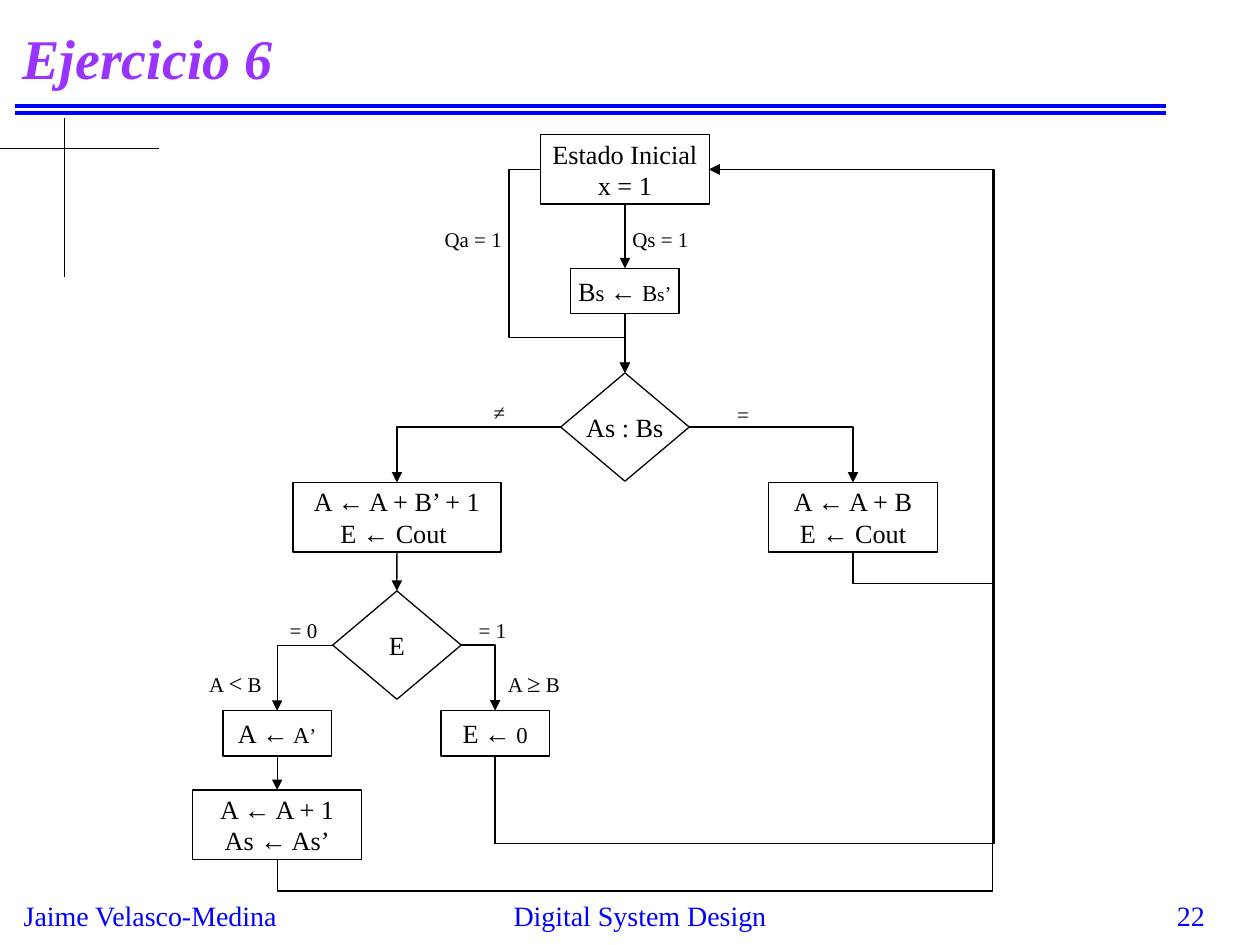
from dataclasses import dataclass

from pptx import Presentation
from pptx.dml.color import RGBColor
from pptx.enum.shapes import MSO_CONNECTOR as Connector, MSO_SHAPE as Shape
from pptx.enum.text import MSO_ANCHOR as Anchor, MSO_AUTO_SIZE as AutoSize, PP_ALIGN as Align
from pptx.oxml.ns import qn
from pptx.oxml.xmlchemy import OxmlElement
from pptx.util import Inches, Pt


@dataclass(frozen=True)
class Theme:
    font: str = "Times New Roman"
    ink: RGBColor = RGBColor(0x00, 0x00, 0x00)
    accent: RGBColor = RGBColor(0x00, 0x00, 0xFF)
    heading: RGBColor = RGBColor(0x99, 0x33, 0xFF)
    title: int = 32
    footer: int = 16
    node: int = 15
    operand: int = 13
    label: int = 12
    relation: int = 14
    subscript: int = 11
    thin: float = 0.75
    thick: float = 2.25


THEME = Theme()

# Column centres of the flowchart, in inches
COLUMN = {"less": 2.2, "unequal": 3.15, "greater": 3.93, "main": 4.96, "equal": 6.77}

# Node kinds: preset, width, height
STATE = (Shape.FLOWCHART_PROCESS, 1.34, 0.55)
WIDE = (Shape.FLOWCHART_PROCESS, 1.65, 0.55)
STEP = (Shape.FLOWCHART_PROCESS, 0.86, 0.36)
DECISION = (Shape.FLOWCHART_DECISION, 1.02, 0.86)

# Connection sites shared by both presets
TOP, LEFT, BOTTOM, RIGHT = range(4)


def write(frame, lines, size, color=THEME.ink, align=Align.LEFT, bold=False, italic=False):
    """Each line is a string or a list of (text, size) runs."""
    for index, line in enumerate(lines):
        paragraph = frame.paragraphs[0] if index == 0 else frame.add_paragraph()
        paragraph.alignment = align
        for text, run_size in [(line, size)] if isinstance(line, str) else line:
            run = paragraph.add_run()
            run.text = text
            run.font.name = THEME.font
            run.font.size = Pt(run_size)
            run.font.color.rgb = color
            run.font.bold, run.font.italic = bold, italic


def add_text(slide, box, line, size, wrap=True, anchor=Anchor.TOP, grow=False, **style):
    frame = slide.shapes.add_textbox(*map(Inches, box)).text_frame
    frame.word_wrap = wrap
    frame.vertical_anchor = anchor
    if grow:
        frame.auto_size = AutoSize.SHAPE_TO_FIT_TEXT
    write(frame, [line], size, **style)


def add_node(slide, kind, column, top, *lines):
    preset, width, height = kind
    left = COLUMN[column] - width / 2
    shape = slide.shapes.add_shape(preset, *map(Inches, (left, top, width, height)))
    shape.shadow.inherit = False
    shape.fill.background()
    shape.line.color.rgb = THEME.ink
    shape.line.width = Pt(THEME.thin)
    frame = shape.text_frame
    frame.word_wrap = False
    frame.vertical_anchor = Anchor.MIDDLE
    write(frame, lines, THEME.node, align=Align.CENTER)
    return shape


def add_line(slide, start, end, color=THEME.ink, width=THEME.thin, kind=Connector.STRAIGHT):
    line = slide.shapes.add_connector(kind, *map(Inches, (*start, *end)))
    line.line.color.rgb = color
    line.line.width = Pt(width)
    line._element.spPr.append(OxmlElement("a:effectLst"))
    return line


def add_arrow(slide, source, source_site, target, target_site, kind=Connector.STRAIGHT):
    arrow = add_line(slide, (0, 0), (1, 1), kind=kind)
    arrow.begin_connect(source, source_site)
    arrow.end_connect(target, target_site)
    head = OxmlElement("a:tailEnd")
    head.set("type", "triangle")
    arrow.line._get_or_add_ln().append(head)
    return arrow


def add_bent_arrow(slide, source, source_site, target, target_site, corner=None):
    """One bend, or three when corner gives the (x, y) of the detour."""
    arrow = add_arrow(slide, source, source_site, target, target_site, Connector.ELBOW)
    x0, y0, x1, y1 = arrow.begin_x, arrow.begin_y, arrow.end_x, arrow.end_y
    width, height = abs(x1 - x0), abs(y1 - y0)
    rightward = x1 > x0
    upright = source_site == BOTTOM

    # The preset leaves to the right; turn and flip it to leave by the chosen side
    if upright:
        rotation, flips = (90, "HV") if rightward else (270, "V")
    elif source_site == LEFT:
        rotation, flips = 180, "HV" if rightward else "V"
    else:
        rotation, flips = 0, ""
    frame_width, frame_height = (height, width) if upright else (width, height)
    arrow.left = (x0 + x1 - frame_width) // 2
    arrow.top = (y0 + y1 - frame_height) // 2
    arrow.width, arrow.height = frame_width, frame_height
    transform = arrow._element.spPr.find(qn("a:xfrm"))
    transform.set("rot", str(rotation * 60000))
    for axis in "HV":
        transform.set("flip" + axis, str(int(axis in flips)))

    geometry = arrow._element.spPr.find(qn("a:prstGeom"))
    geometry.set("prst", "bentConnector4" if corner else "bentConnector2")
    if corner:
        shares = [(Inches(corner[0]) - x0) / (x1 - x0), (Inches(corner[1]) - y0) / (y1 - y0)]
        guides = geometry.get_or_add_avLst()
        for number, share in enumerate(reversed(shares) if upright else shares, 1):
            guide = OxmlElement("a:gd")
            guide.set("name", f"adj{number}")
            guide.set("fmla", f"val {round(share * 100000)}")
            guides.append(guide)


def add_frame(slide):
    # Double rule and corner cross
    for y in (0.84, 0.9):
        add_line(slide, (0.12, y), (9.25, y), THEME.accent, THEME.thick)
    add_line(slide, (0, 1.18), (1.26, 1.18))
    add_line(slide, (0.51, 0.94), (0.51, 2.2))
    # Title and footer
    add_text(slide, (0.08, 0.08, 9.17, 0.75), "Ejercicio 6", THEME.title,
             anchor=Anchor.MIDDLE, color=THEME.heading, bold=True, italic=True)
    for left, width, text, align in (
        (0.09, 2.24, "Jaime Velasco-Medina", Align.LEFT),
        (3.33, 3.5, "Digital System Design", Align.CENTER),
        (7.58, 2.08, "22", Align.RIGHT),
    ):
        add_text(slide, (left, 7.08, width, 0.35), text, THEME.footer,
                 wrap=align != Align.LEFT, color=THEME.accent, align=align)


def add_flowchart(slide):
    size, small, prime = THEME.node, THEME.operand, THEME.label

    # Nodes
    initial = add_node(slide, STATE, "main", 1.07, "Estado Inicial", "x = 1")
    invert_sign = add_node(slide, STEP, "main", 2.13, [
        ("B", size), ("s ", small), ("←", size), (" B", small),
        ("s", THEME.subscript), ("’", prime)])
    compare = add_node(slide, DECISION, "main", 2.96, "As : Bs")
    subtract = add_node(slide, WIDE, "unequal", 3.83, "A ← A + B’ + 1", "E ← Cout ")
    add = add_node(slide, STATE, "equal", 3.83, "A ← A + B", "E ← Cout")
    carry = add_node(slide, DECISION, "unequal", 4.69, "E")
    complement = add_node(slide, STEP, "less", 5.64, [
        ("A", size), (" ", small), ("←", size), (" A", small), ("’", prime)])
    clear = add_node(slide, STEP, "greater", 5.64, [
        ("E", size), (" ", small), ("←", size), (" 0", small)])
    increment = add_node(slide, STATE, "less", 6.27, "A ← A + 1", "As ← As’")

    # Downward arrows
    for source, target in ((initial, invert_sign), (invert_sign, compare),
                           (subtract, carry), (complement, increment)):
        add_arrow(slide, source, BOTTOM, target, TOP)

    # Branches, and the bypass of the sign inversion
    for source, side, target in ((compare, LEFT, subtract), (compare, RIGHT, add),
                                 (carry, LEFT, complement), (carry, RIGHT, clear)):
        add_bent_arrow(slide, source, side, target, TOP)
    add_bent_arrow(slide, initial, LEFT, compare, TOP, (4.04, 2.68))

    # Returns to the initial state
    for source, corner in ((add, (7.88, 4.63)), (increment, (7.88, 7.07)),
                           (clear, (7.89, 6.7))):
        add_bent_arrow(slide, source, BOTTOM, initial, RIGHT, corner)

    # Branch conditions
    for left, top, width, line in (
        (4.92, 1.75, 0.78, "Qs = 1"), (3.43, 1.75, 0.79, "Qa = 1"),
        (5.71, 3.14, 0.39, " ="), (3.82, 3.12, 0.39, "≠"),
        (3.66, 4.85, 0.63, " = 1"), (2.16, 4.85, 0.63, " = 0"),
    ):
        add_text(slide, (left, top, width, 0.3), line, THEME.label, grow=True)
    for left, relation in ((3.9, "≥"), (1.53, "<")):
        line = [(" A ", THEME.label), (relation, THEME.relation), (" B", THEME.label)]
        add_text(slide, (left, 5.25, 0.79, 0.34), line, THEME.label, grow=True)


def main():
    presentation = Presentation()
    presentation.slide_width, presentation.slide_height = Inches(10), Inches(7.5)
    slide = presentation.slides.add_slide(presentation.slide_layouts[6])
    add_frame(slide)
    add_flowchart(slide)
    presentation.save("out.pptx")


if __name__ == "__main__":
    main()
